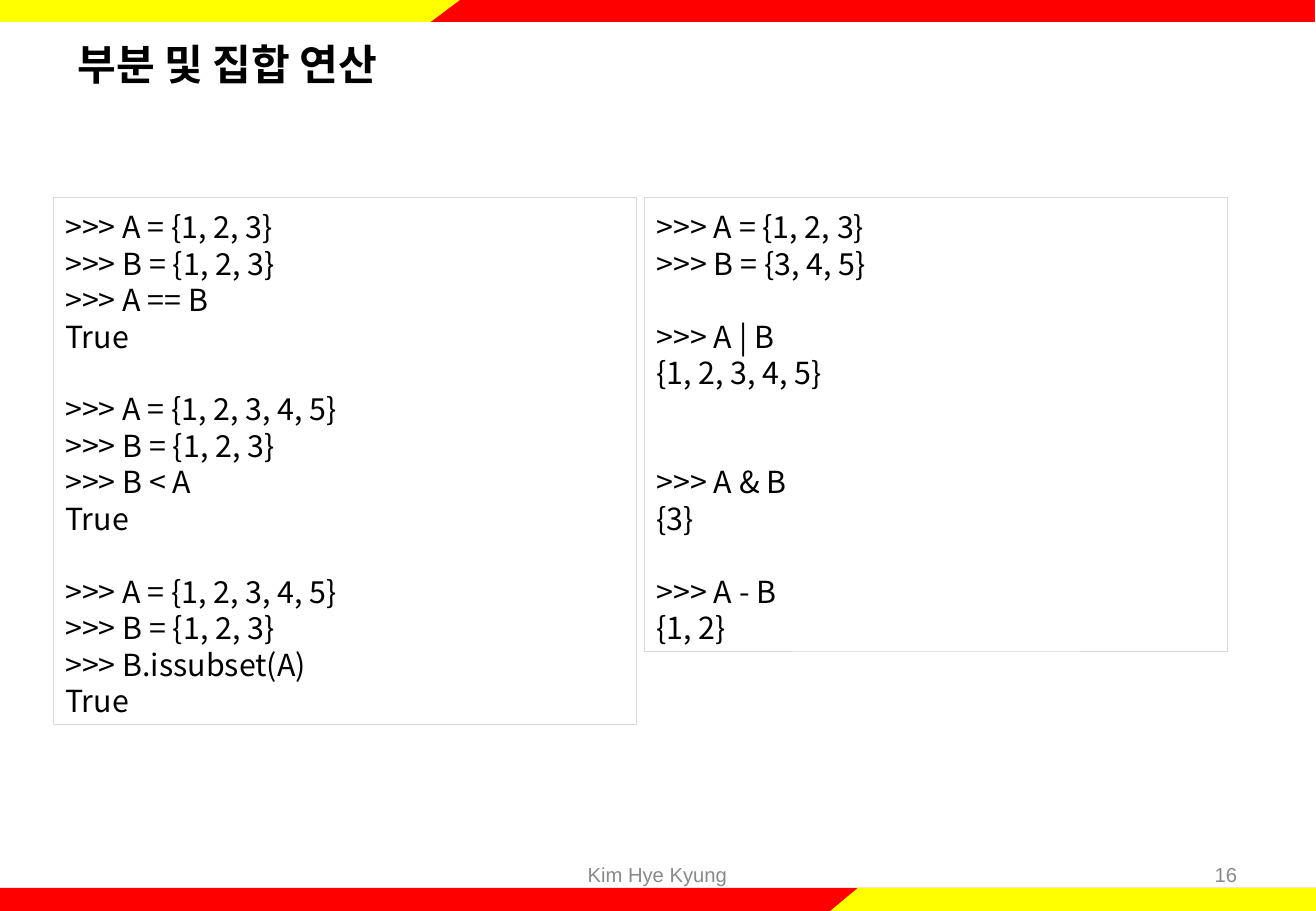
from pptx import Presentation
from pptx.dml.color import RGBColor
from pptx.enum.shapes import MSO_SHAPE
from pptx.enum.text import MSO_ANCHOR, PP_ALIGN
from pptx.oxml.ns import qn
from pptx.util import Inches, Pt

RED = RGBColor(0xFF, 0x00, 0x00)
YELLOW = RGBColor(0xFF, 0xFF, 0x00)
WHITE = RGBColor(0xFF, 0xFF, 0xFF)
BLACK = RGBColor(0x00, 0x00, 0x00)
GRAY = RGBColor(0x89, 0x89, 0x89)
BORDER = RGBColor(0xD9, 0xD9, 0xD9)
KOREAN_FONT = "Noto Sans CJK KR"
FOOTER_FONT = "Arial"
LINE_PITCH = 21.6


class SlideBuilder:
    def __init__(self, slide):
        self.slide = slide

    def shape(self, kind, box, fill):
        shape = self.slide.shapes.add_shape(kind, *map(Inches, box))
        shape.shadow.inherit = False
        shape.fill.solid()
        shape.fill.fore_color.rgb = fill
        shape.line.fill.background()
        return shape

    def band(self, box, fill):
        self.shape(MSO_SHAPE.RECTANGLE, box, fill)

    def slant(self, box, fill):
        triangle = self.shape(MSO_SHAPE.RIGHT_TRIANGLE, box, fill)
        triangle.element.spPr.find(qn("a:xfrm")).set("flipH", "1")

    def run(self, paragraph, text, size, font, color, bold=False):
        run = paragraph.add_run()
        run.text = text
        run.font.size = Pt(size)
        run.font.name = font
        run.font.bold = bold
        run.font.color.rgb = color
        east_asian = run.font._element.makeelement(qn("a:ea"), {"typeface": font})
        run.font._element.find(qn("a:latin")).addnext(east_asian)

    def frame(self, shape, top=0.05, bottom=0.05):
        frame = shape.text_frame
        frame.word_wrap = True
        frame.vertical_anchor = MSO_ANCHOR.MIDDLE
        frame.margin_left = frame.margin_right = Inches(0.1)
        frame.margin_top, frame.margin_bottom = Inches(top), Inches(bottom)
        return frame

    def label(self, box, text, size, font, color, align, bold=False):
        textbox = self.slide.shapes.add_textbox(*map(Inches, box))
        paragraph = self.frame(textbox, 0, 0).paragraphs[0]
        paragraph.alignment = align
        self.run(paragraph, text, size, font, color, bold)

    def code_panel(self, box, blocks):
        """Each block is (empty lines above it, its code lines)."""
        panel = self.shape(MSO_SHAPE.RECTANGLE, box, WHITE)
        panel.line.color.rgb = BORDER
        panel.line.width = Pt(0.25)
        frame = self.frame(panel, top=0.1)
        paragraph = frame.paragraphs[0]
        for gap, lines in blocks:
            for index, line in enumerate(lines):
                if paragraph.runs:
                    paragraph = frame.add_paragraph()
                paragraph.alignment = PP_ALIGN.LEFT
                paragraph.line_spacing = Pt(LINE_PITCH)
                paragraph.space_before = Pt(0 if index else gap * LINE_PITCH)
                self.run(paragraph, line, 18, KOREAN_FONT, BLACK)


def main():
    deck = Presentation()
    deck.slide_width, deck.slide_height = Inches(10.84), Inches(7.5)
    builder = SlideBuilder(deck.slides.add_slide(deck.slide_layouts[6]))

    # Bottom stripe
    builder.band((0, 7.31, 10.84, 0.19), RED)
    builder.band((7.07, 7.31, 3.77, 0.19), YELLOW)
    builder.slant((6.84, 7.3, 0.24, 0.2), YELLOW)

    # Top stripe
    builder.band((0, 0, 3.8, 0.18), YELLOW)
    for left in (3.79, 7.04):
        builder.band((left, 0, 3.79, 0.18), RED)
    builder.slant((3.55, 0, 0.24, 0.18), RED)

    # Title and footer
    builder.label((0.54, 0.3, 9.75, 0.45), "부분 및 집합 연산", 25,
                  KOREAN_FONT, BLACK, PP_ALIGN.LEFT, bold=True)
    builder.label((3.7, 7.07, 3.43, 0.25), "Kim Hye Kyung", 12,
                  FOOTER_FONT, GRAY, PP_ALIGN.CENTER)
    builder.label((7.76, 7.07, 2.53, 0.25), "16", 12,
                  FOOTER_FONT, GRAY, PP_ALIGN.RIGHT)

    # Subset tests
    small_set, large_set = ">>> B = {1, 2, 3}", ">>> A = {1, 2, 3, 4, 5}"
    builder.code_panel((0.44, 1.62, 4.8, 4.34), [
        (0, [">>> A = {1, 2, 3}", small_set, ">>> A == B", "True"]),
        (1, [large_set, small_set, ">>> B < A", "True"]),
        (1, [large_set, small_set, ">>> B.issubset(A)", "True"]),
    ])

    # Set operations
    builder.code_panel((5.31, 1.62, 4.8, 3.74), [
        (0, [">>> A = {1, 2, 3}", ">>> B = {3, 4, 5}"]),
        (1, [">>> A | B", "{1, 2, 3, 4, 5}"]),
        (2, [">>> A & B", "{3}"]),
        (1, [">>> A - B", "{1, 2}"]),
    ])

    deck.save("out.pptx")


if __name__ == "__main__":
    main()
